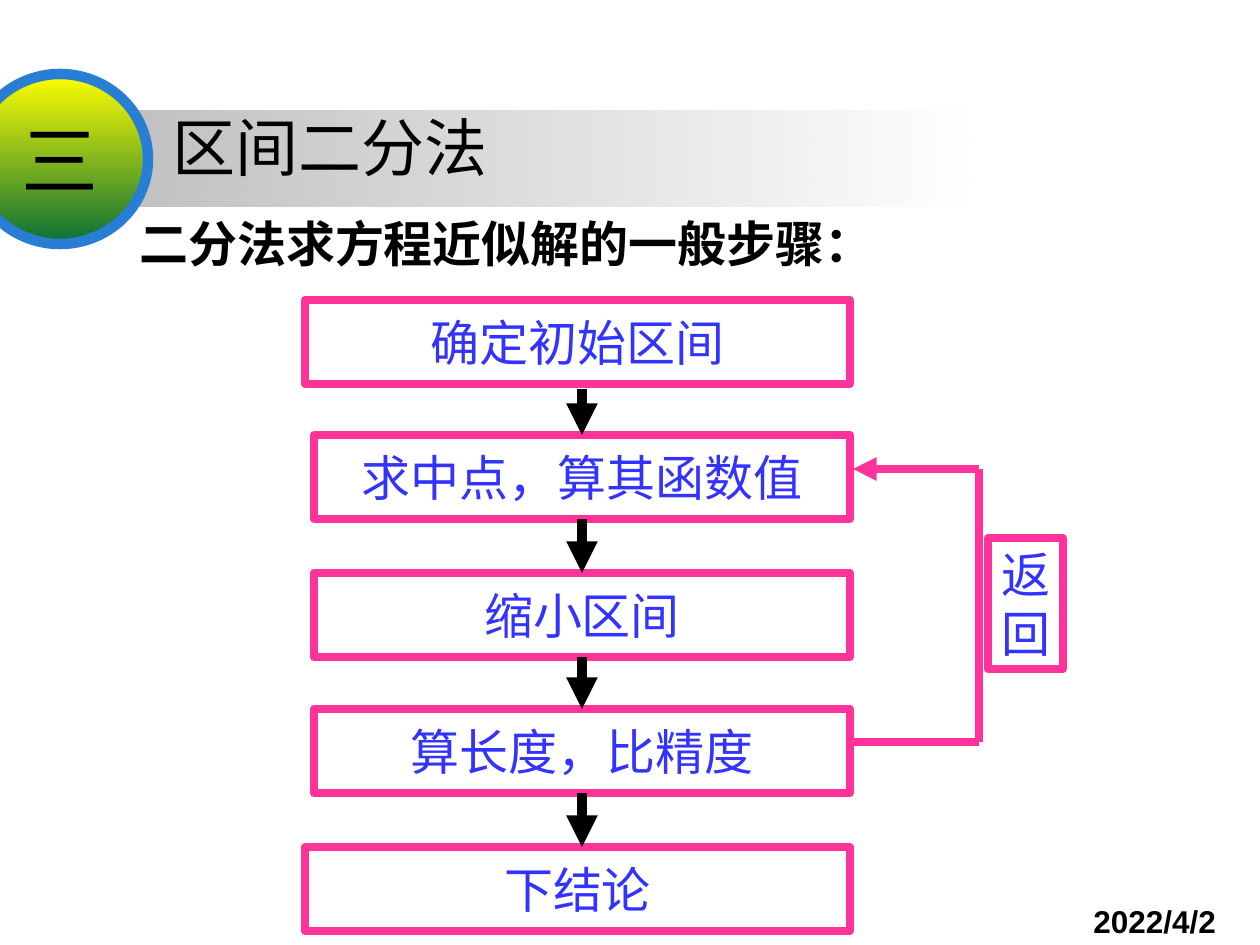
import pptx
import pptx.dml.color
import pptx.enum.shapes
import pptx.enum.text
import pptx.oxml
import pptx.oxml.ns
import pptx.util

COLORS = {
    "ink": "000000",
    "paper": "FFFFFF",
    "band": "BFBFBF",
    "badge_top": "FFFF00",
    "badge_bottom": "0B6E38",
    "badge_ring": "287ED3",
    "frame": "FF3399",
    "step": "3333FF",
}
ALIGN = pptx.enum.text.PP_ALIGN
ANCHOR = pptx.enum.text.MSO_ANCHOR
SHAPE = pptx.enum.shapes.MSO_SHAPE
PX_PER_INCH = 126


def px(length):
    return pptx.util.Emu(round(length * 914400 / PX_PER_INCH))


def rgb(name):
    return pptx.dml.color.RGBColor.from_string(COLORS[name])


class FlowSlide:
    def __init__(self, slide):
        self.slide = slide
        self.shapes = slide.shapes

    def set_text(self, shape, lines, size, color="ink", font="Arial", bold=False,
                 align=ALIGN.LEFT, anchor=ANCHOR.TOP, wrap=True, spacing=None):
        frame = shape.text_frame
        frame.text = "\n".join(lines)
        frame.word_wrap = wrap
        frame.vertical_anchor = anchor
        for paragraph in frame.paragraphs:
            paragraph.alignment = align
            paragraph.line_spacing = spacing
            paragraph.font.name = font
            paragraph.font.size = pptx.util.Pt(size)
            paragraph.font.bold = bold
            paragraph.font.color.rgb = rgb(color)

    def title(self, box, text, size):
        heading = self.shapes.title
        heading.left, heading.top, heading.width, heading.height = map(px, box)
        self.set_text(heading, [text], size)
        heading.element.getparent().append(heading.element)

    def text(self, box, text, size, **style):
        label = self.shapes.add_textbox(*map(px, box))
        self.set_text(label, [text], size, **style)

    def shape(self, kind, box, line=None, width=0):
        outline = self.shapes.add_shape(kind, *map(px, box))
        outline.shadow.inherit = False
        if line:
            outline.line.color.rgb = rgb(line)
            outline.line.width = pptx.util.Pt(width)
        else:
            outline.line.fill.background()
        return outline

    def gradient(self, shape, start, end, angle, fade=False):
        shape.fill.gradient()
        shape.fill.gradient_angle = angle
        for stop, (color, position) in zip(shape.fill.gradient_stops, ((start, 0), (end, 1))):
            stop.color.rgb = rgb(color)
            stop.position = position
        if fade:
            last_color = shape.element.xpath(".//a:gs/a:srgbClr")[-1]
            last_color.append(pptx.oxml.parse_xml(
                f'<a:alpha {pptx.oxml.ns.nsdecls("a")} val="0"/>'))

    def box(self, box, lines, fill="paper", **style):
        frame = self.shape(SHAPE.RECTANGLE, box, "frame", 4.5)
        if fill:
            frame.fill.solid()
            frame.fill.fore_color.rgb = rgb(fill)
        else:
            frame.fill.background()
        self.set_text(frame, lines, 28, "step", align=ALIGN.CENTER, wrap=False, **style)
        return frame

    def line(self, start, end, color, width, arrow=False, source=None, target=None):
        link = self.shapes.add_connector(
            pptx.enum.shapes.MSO_CONNECTOR.STRAIGHT, *map(px, start + end))
        if source is not None:
            link.begin_connect(source, 2)
        if target is not None:
            link.end_connect(target, 0)
        link.line.color.rgb = rgb(color)
        link.line.width = pptx.util.Pt(width)
        namespace = pptx.oxml.ns.nsdecls("a")
        properties = link.element.spPr
        if arrow:
            properties.find(pptx.oxml.ns.qn("a:ln")).append(
                pptx.oxml.parse_xml(f'<a:tailEnd {namespace} type="triangle"/>'))
        properties.append(pptx.oxml.parse_xml(f"<a:effectLst {namespace}/>"))


def main():
    deck = pptx.Presentation()
    deck.slide_width, deck.slide_height = px(1260), px(945)
    flow = FlowSlide(deck.slides.add_slide(deck.slide_layouts[5]))

    flow.text((1081, 888, 203, 59), "2022/4/2", 18, bold=True, spacing=1.2)

    band = flow.shape(SHAPE.RECTANGLE, (106, 111, 863, 96))
    flow.gradient(band, "band", "band", 0, fade=True)
    badge = flow.shape(SHAPE.OVAL, (-28, 74, 176, 170), "badge_ring", 6)
    flow.gradient(badge, "badge_top", "badge_bottom", 270)
    flow.set_text(badge, ["三"], 44, align=ALIGN.CENTER, anchor=ANCHOR.MIDDLE)
    flow.title((160, 102, 554, 89), "区间二分法", 36)
    flow.text((127, 207, 819, 72), "二分法求方程近似解的一般步骤：", 28,
              font="Noto Sans CJK SC", bold=True)

    outer, inner = (305, 545), (314, 536)
    initial, midpoint, narrow, measure, conclusion = [
        flow.box((left, top, width, 84), [text], anchor=ANCHOR.MIDDLE)
        for (left, width), top, text in (
            (outer, 300, "确定初始区间"),
            (inner, 435, "求中点，算其函数值"),
            (inner, 573, "缩小区间"),
            (inner, 709, "算长度，比精度"),
            (outer, 847, "下结论"),
        )
    ]
    for start, end, source, target in (
        (389, 435, None, midpoint),
        (519, 573, midpoint, narrow),
        (657, 709, narrow, measure),
        (793, 847, measure, None),
    ):
        flow.line((582, start), (582, end), "ink", 6, True, source, target)

    loop = [(853, 742), (979, 742), (979, 469), (853, 469)]
    for start, end in zip(loop, loop[1:]):
        flow.line(start, end, "frame", 4.5, arrow=end == loop[-1])
    flow.box((988, 538, 75, 131), ["返", "回"], fill=None,
             font="Times New Roman", anchor=ANCHOR.TOP)

    deck.save("out.pptx")


if __name__ == "__main__":
    main()
